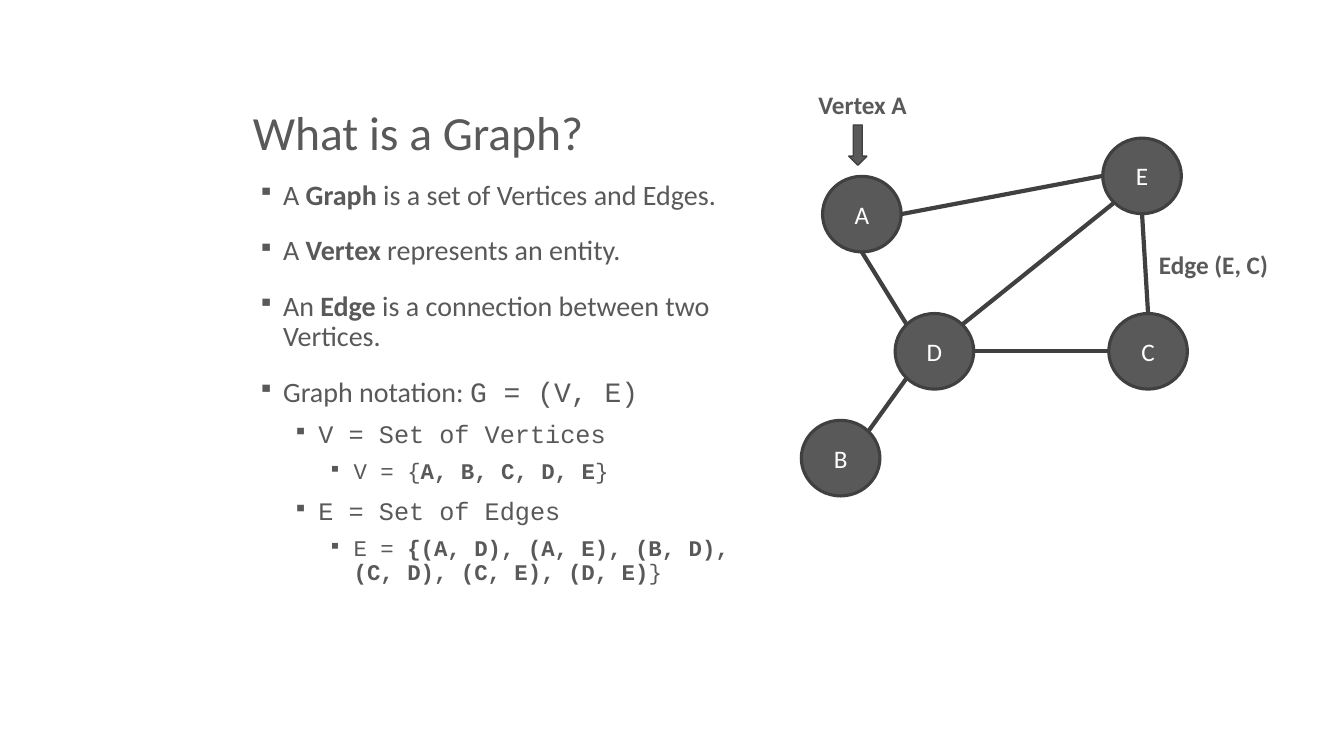
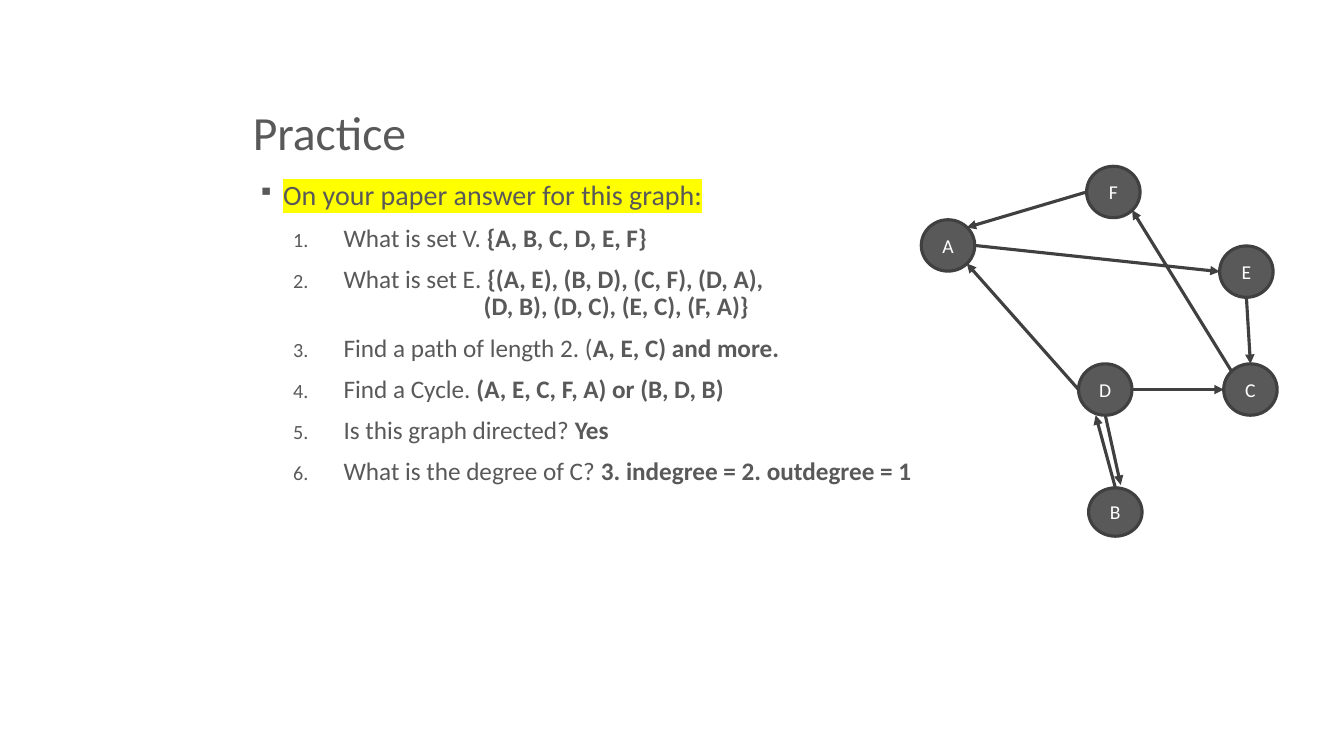
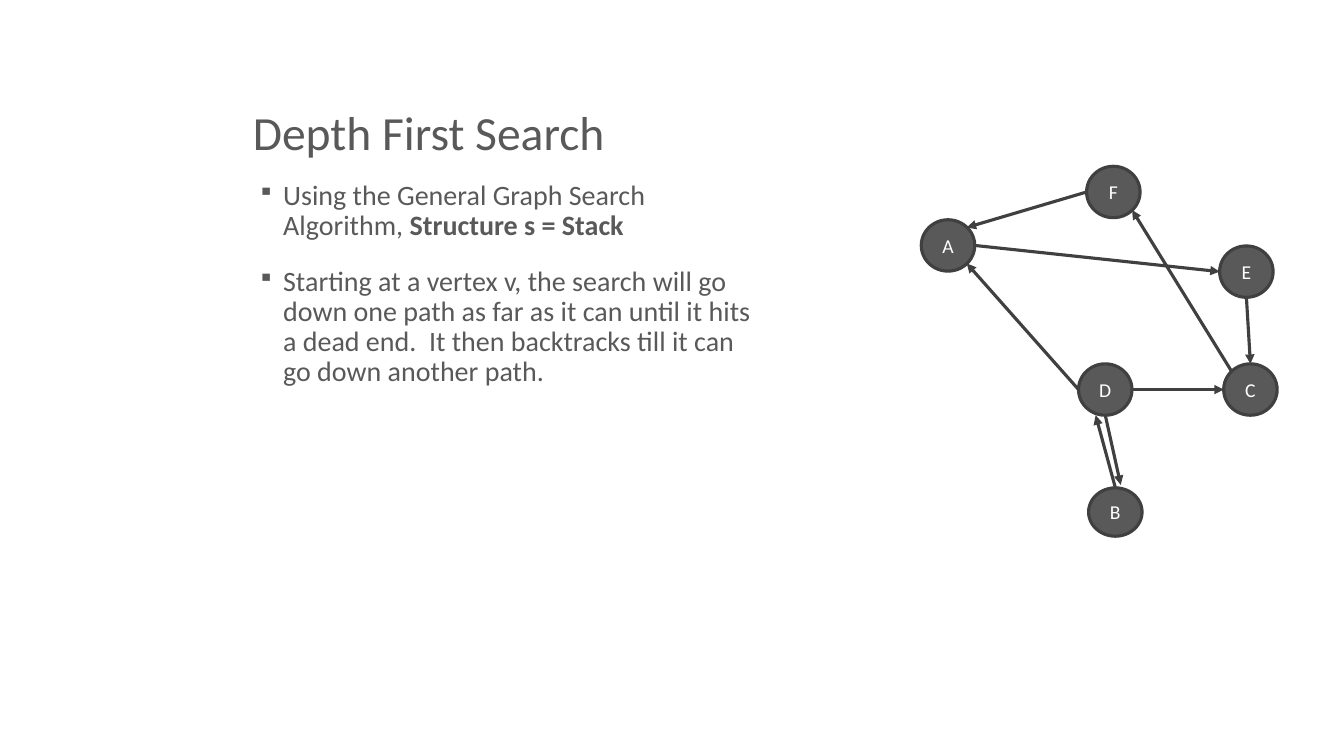
from lxml.etree import SubElement
from pptx import Presentation
from pptx.dml.color import RGBColor
from pptx.enum.shapes import MSO_CONNECTOR, MSO_SHAPE
from pptx.enum.text import MSO_ANCHOR, PP_ALIGN
from pptx.oxml.ns import qn
from pptx.util import Inches, Pt

COLORS = {"text": "595959", "line": "404040", "light": "FFFFFF", "mark": "FFFF00"}
FONT, MONO = "Calibri", "Courier New"

# Paragraph kinds: level, left margin and indent (inches), size, space before, bullet
KINDS = {
    "point": (0, 0.3, -0.25, 20, 18, "▪"),
    "sub": (1, 0.65, -0.25, 18, 10, "▪"),
    "detail": (2, 1, -0.25, 16, 8, "▪"),
    "question": (1, 0.9, -0.5, 18, 10, "1."),
    "continued": (3, 2.29, 0, 18, 0, None),
}

# Points on a node's box where edges meet it, as shares of its width and height
SITES = {
    "n": (0.5, 0), "ne": (0.85, 0.15), "e": (1, 0.5), "se": (0.85, 0.85),
    "s": (0.5, 1), "sw": (0.15, 0.85), "w": (0, 0.5), "nw": (0.15, 0.15),
    "s left": (0.32, 1), "n right": (0.6, -0.06),
}

# Positions are in columns and rows of a 100 by 100 grid over the slide
GRAPH = {
    "size": 18, "weight": 3, "directed": False,
    "nodes": {
        "A": (61.2, 23.33, 5.85, 10), "C": (82.5, 41.47, 5.85, 10),
        "B": (59.62, 55.6, 5.85, 10), "D": (66.6, 41.47, 5.85, 10),
        "E": (82.05, 18.27, 5.85, 10),
    },
    "edges": [
        ("A", "s", "D", "nw"), ("B", "ne", "D", "sw"), ("C", "w", "D", "e"),
        ("C", "n", "E", "s"), ("A", "e", "E", "w"), ("D", "ne", "E", "sw"),
    ],
}
DIGRAPH = {
    "size": 14, "weight": 2.25, "directed": True,
    "nodes": {
        "A": (68.55, 29.07, 3.98, 6.8), "C": (91.05, 48.13, 3.98, 6.8),
        "D": (80.25, 48.13, 3.98, 6.8), "E": (90.75, 32.53, 3.98, 6.8),
        "F": (80.85, 22, 3.98, 6.8), "B": (81, 64.53, 3.98, 6.4),
    },
    "edges": [
        ("D", "s", "B", "n right"), ("F", "w", "A", "ne"), ("A", "e", "E", "w"),
        ("E", "s", "C", "n"), ("D", "e", "C", "w"), ("D", "w", "A", "se"),
        ("B", "n", "D", "s left"), ("C", "nw", "F", "se"),
    ],
}

# Run styles: b bold, m monospaced, h highlighted
SLIDES = [
    ("What is a Graph?", 38.48, GRAPH, [
        ("point", [("A ", ""), ("Graph", "b"), (" is a set of Vertices and Edges.", "")]),
        ("point", [("A ", ""), ("Vertex", "b"), (" represents an entity.", "")]),
        ("point", [("An ", ""), ("Edge", "b"), (" is a connection between two Vertices.", "")]),
        ("point", [("Graph notation: ", ""), ("G = (V, E)", "m")]),
        ("sub", [("V = Set of Vertices", "m")]),
        ("detail", [("V = {", "m"), ("A, B, C, D, E", "mb"), ("}", "m")]),
        ("sub", [("E = Set of Edges", "m")]),
        ("detail", [("E = ", "m"),
                    ("{(A, D), (A, E), (B, D), (C, D), (C, E), (D, E)", "mb"), ("}", "m")]),
    ]),
    ("Practice", 76.88, DIGRAPH, [
        ("point", [("On your paper answer for this graph:", "h")]),
        ("question", [("What is set V. ", ""), ("{A, B, C, D, E, F}", "b")]),
        ("question", [("What is set E. ", ""), ("{(A, E), (B, D), (C, F), (D, A),", "b")]),
        ("continued", [("(D, B), (D, C), (E, C), (F, A)}", "b")]),
        ("question", [("Find a path of length 2. (", ""), ("A, E, C) and more.", "b")]),
        ("question", [("Find a Cycle. ", ""), ("(A, E, C, F, A) or (B, D, B)", "b")]),
        ("question", [("Is this graph directed? ", ""), ("Yes", "b")]),
        ("question", [("What is the degree of C? ", ""),
                      ("3. indegree = 2. outdegree = 1", "b")]),
    ]),
    ("Depth First Search", 38.7, DIGRAPH, [
        ("point", [("Using the General Graph Search Algorithm, ", ""),
                   ("Structure s = Stack", "b")]),
        ("point", [("Starting at a vertex v, the search will go down one path as far as it "
                    "can until it hits a dead end.  It then backtracks till it can go down "
                    "another path.", "")]),
    ]),
]

prs = Presentation()
prs.slide_width, prs.slide_height = Inches(13.333), Inches(7.5)


def grid(*lengths):
    """Turn alternating columns and rows into slide lengths."""
    units = (prs.slide_width / 100, prs.slide_height / 100)
    return [round(n * units[i % 2]) for i, n in enumerate(lengths)]


def add_run(p, text, size, style="", color="text"):
    r = p.add_run()
    r.text = text
    r.font.size = Pt(size)
    r.font.bold = "b" in style
    r.font.color.rgb = RGBColor.from_string(COLORS[color])
    if "h" in style:
        mark = SubElement(r.font._element, qn("a:highlight"))
        SubElement(mark, qn("a:srgbClr"), val=COLORS["mark"])
    r.font.name = MONO if "m" in style else FONT


for title, body_width, graph, body in SLIDES:
    s = prs.slides.add_slide(prs.slide_layouts[6])

    tf = s.shapes.add_textbox(*grid(18.08, 4.4, 76.88, 17.47)).text_frame
    tf.word_wrap = True
    tf.vertical_anchor = MSO_ANCHOR.BOTTOM
    tf.paragraphs[0].line_spacing = 0.9
    add_run(tf.paragraphs[0], title, 34)

    tf = s.shapes.add_textbox(*grid(18.08, 23.33, body_width, 60)).text_frame
    tf.word_wrap = True
    for i, (kind, runs) in enumerate(body):
        level, margin, indent, size, before, bullet = KINDS[kind]
        p = tf.add_paragraph() if i else tf.paragraphs[0]
        p.level = level
        p.line_spacing = 0.9
        p.space_before = Pt(before if i else 0)
        pPr = p._p.get_or_add_pPr()
        pPr.set("marL", str(Inches(margin)))
        pPr.set("indent", str(Inches(indent)))
        if bullet:
            SubElement(pPr, qn("a:buSzPct"), val="80000")
        if bullet == "1.":
            SubElement(pPr, qn("a:buFont"), typeface=FONT)
            SubElement(pPr, qn("a:buAutoNum"), type="arabicPeriod")
        elif bullet:
            SubElement(pPr, qn("a:buChar"), char=bullet)
        else:
            SubElement(pPr, qn("a:buNone"))
        for text, style in runs:
            add_run(p, text, size, style)

    shapes = s.shapes.add_group_shape().shapes if graph["directed"] else s.shapes
    for name, place in graph["nodes"].items():
        node = shapes.add_shape(MSO_SHAPE.OVAL, *grid(*place))
        node.shadow.inherit = False
        node.fill.solid()
        node.fill.fore_color.rgb = RGBColor.from_string(COLORS["text"])
        node.line.color.rgb = RGBColor.from_string(COLORS["line"])
        node.line.width = Pt(2.25)
        tf = node.text_frame
        tf.margin_left = tf.margin_right = tf.margin_top = tf.margin_bottom = 0
        tf.vertical_anchor = MSO_ANCHOR.MIDDLE
        tf.paragraphs[0].alignment = PP_ALIGN.CENTER
        add_run(tf.paragraphs[0], name, graph["size"], color="light")

    for start, start_site, end, end_site in graph["edges"]:
        ends = []
        for name, site in ((start, start_site), (end, end_site)):
            x, y, w, h = graph["nodes"][name]
            dx, dy = SITES[site]
            ends += [x + dx * w, y + dy * h]
        edge = shapes.add_connector(MSO_CONNECTOR.STRAIGHT, *grid(*ends))
        edge.line.color.rgb = RGBColor.from_string(COLORS["line"])
        edge.line.width = Pt(graph["weight"])
        if graph["directed"]:
            SubElement(edge.line._get_or_add_ln(), qn("a:tailEnd"), type="triangle")
        SubElement(edge._element.spPr, qn("a:effectLst"))

# Labels on the first graph
s = prs.slides[0]
for text, place in (("Vertex A", (60.15, 11.2, 8.62, 5.33)),
                    ("Edge (E, C)", (85.5, 32.27, 10.8, 5.33))):
    tf = s.shapes.add_textbox(*grid(*place)).text_frame
    tf.word_wrap = False
    add_run(tf.paragraphs[0], text, 18, "b")

arrow = s.shapes.add_shape(MSO_SHAPE.DOWN_ARROW, *grid(63.15, 16.53, 1.35, 5.33))
arrow.shadow.inherit = False
arrow.fill.solid()
arrow.fill.fore_color.rgb = RGBColor.from_string(COLORS["text"])
arrow.line.color.rgb = RGBColor.from_string(COLORS["line"])
arrow.line.width = Pt(1)

prs.save("out.pptx")
